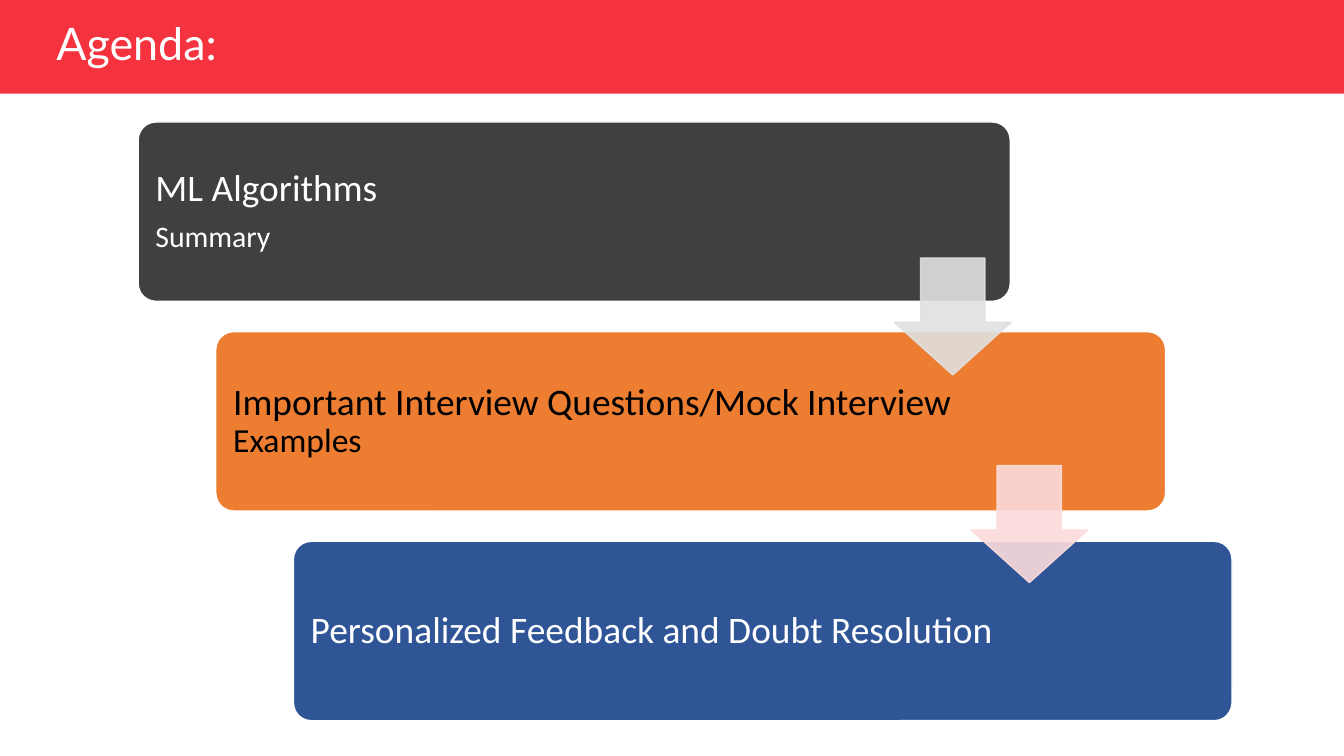
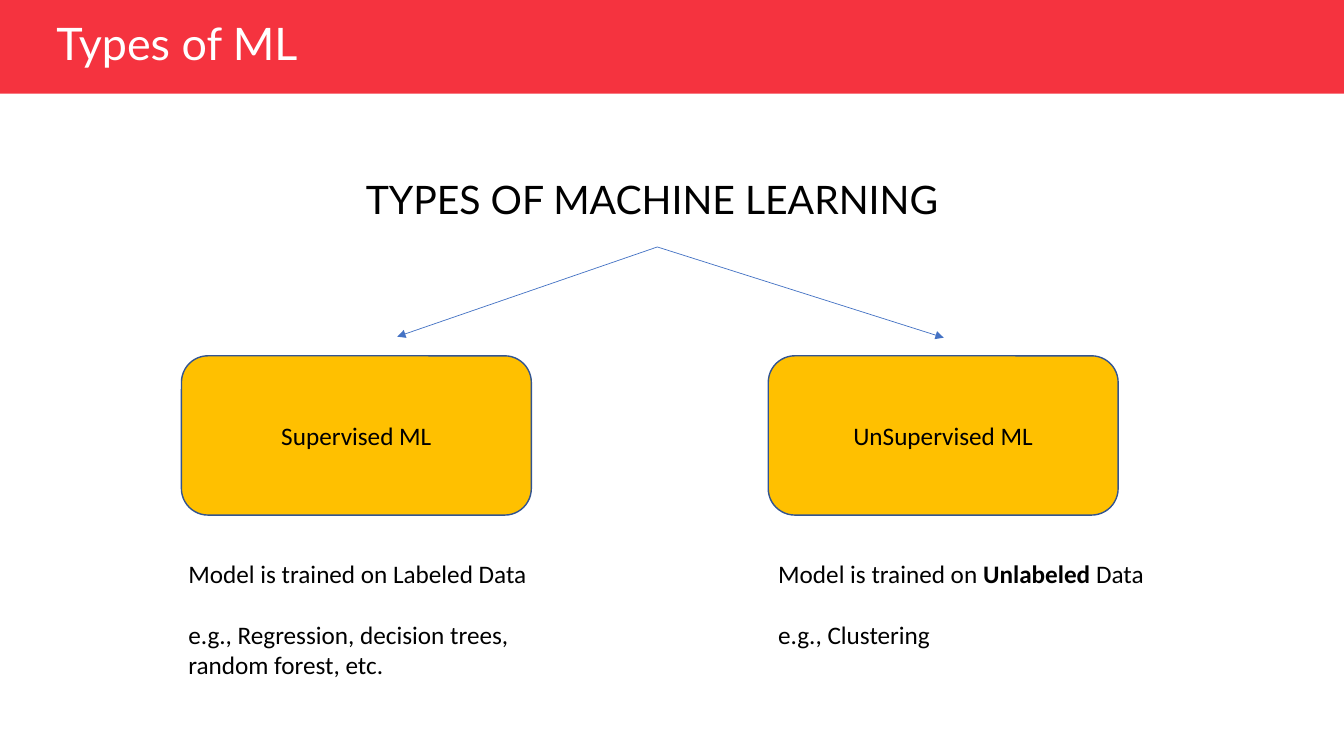
from lxml import etree
from pptx import Presentation
from pptx import util as u
from pptx.dml import color
from pptx.enum import shapes, text
from pptx.oxml import ns

BAND, WHITE, BLACK = "F5333F", "FFFFFF", "000000"
GOLD, GOLD_EDGE, ARROW_BLUE = "FFC000", "325491", "4472C4"
TITLE_FONT, BODY_FONT = "Lato", "Calibri"
SHAPE, ALIGN, ANCHOR = shapes.MSO_SHAPE, text.PP_ALIGN, text.MSO_ANCHOR


def rgb(value):
    return color.RGBColor.from_string(value)


def add_child(parent, tag, **attributes):
    return etree.SubElement(parent, ns.qn(tag), attributes)


class Deck:
    def __init__(self):
        self.deck = Presentation()
        self.deck.slide_width = u.Inches(13.33)
        self.deck.slide_height = u.Inches(7.5)
        self.page = None

    def add_page(self, title):
        self.page = self.deck.slides.add_slide(self.deck.slide_layouts[6])
        self.shape(SHAPE.RECTANGLE, (0, 0, 13.33, 0.93), BAND)
        self.heading(title, (0.46, 0.18, 5.45, 0.56), 32, WHITE)

    def shape(self, kind, place, fill, line=None, adjustments=()):
        item = self.page.shapes.add_shape(kind, *map(u.Inches, place))
        item.shadow.inherit = False
        item.fill.solid()
        item.fill.fore_color.rgb = rgb(fill)
        if line:
            item.line.color.rgb = rgb(line)
            item.line.width = u.Pt(1)
        else:
            item.line.fill.background()
        for index, value in enumerate(adjustments):
            item.adjustments[index] = value
        return item

    def set_text(self, frame, lines, ink=BLACK, font=BODY_FONT, align=ALIGN.LEFT,
                 spacing=1.0, anchor=ANCHOR.MIDDLE):
        frame.word_wrap = True
        frame.vertical_anchor = anchor
        for index, (spans, size, before) in enumerate(lines):
            para = frame.paragraphs[0] if index == 0 else frame.add_paragraph()
            para.alignment = align
            para.line_spacing = spacing
            para.space_before = u.Pt(before)
            para.font.name = font
            para.font.size = u.Pt(size)
            para.font.color.rgb = rgb(ink)
            for words, bold in spans:
                span = para.add_run()
                span.text = words
                if bold:
                    span.font.bold = True

    def text_box(self, place, lines, **style):
        box = self.page.shapes.add_textbox(*map(u.Inches, place))
        self.set_text(box.text_frame, lines, **style)

    def heading(self, words, place, size, ink=BLACK):
        self.text_box(place, [([(words, False)], size, 0)], ink=ink,
                      font=TITLE_FONT, spacing=0.9)

    def card(self, place, fill, ink, lines):
        card = self.shape(SHAPE.ROUNDED_RECTANGLE, place, fill, WHITE, [0.1])
        frame = card.text_frame
        frame.margin_left = frame.margin_top = frame.margin_bottom = u.Inches(0.12)
        frame.margin_right = u.Inches(1.95)
        self.set_text(frame, lines, ink=ink, spacing=0.9)

    def down_arrow(self, left, top, fill):
        arrow = self.shape(SHAPE.DOWN_ARROW, (left, top, 1.16, 1.16), fill, fill,
                           [0.55, 0.45])
        for tint in arrow._element.spPr.iter(ns.qn("a:srgbClr")):
            add_child(tint, "a:alpha", val="90000")

    def type_box(self, place, label):
        box = self.shape(SHAPE.ROUNDED_RECTANGLE, place, GOLD, GOLD_EDGE)
        self.set_text(box.text_frame, [([(label, False)], 18, 0)], align=ALIGN.CENTER)

    def line_arrow(self, start, end):
        arrow = self.page.shapes.add_connector(
            shapes.MSO_CONNECTOR.STRAIGHT, *map(u.Inches, (*start, *end)))
        arrow.line.color.rgb = rgb(ARROW_BLUE)
        arrow.line.width = u.Pt(0.5)
        properties = arrow._element.spPr
        add_child(properties.find(ns.qn("a:ln")), "a:tailEnd", type="triangle")
        add_child(properties, "a:effectLst")


def build_agenda(deck):
    deck.add_page("Agenda:")
    cards = [
        (8.65, "404040", WHITE, [([("ML Algorithms", False)], 26.7, 0),
                                 ([("Summary", False)], 21.3, 9.3)]),
        (9.42, "ED7D31", BLACK,
         [([("Important Interview Questions/Mock Interview", False)], 26.7, 0),
          ([("Examples", False)], 24, 0)]),
        (9.31, "2F5597", WHITE,
         [([("Personalized Feedback and Doubt Resolution", False)], 26.7, 0)]),
    ]
    for step, (width, fill, ink, lines) in enumerate(cards):
        place = (1.37 + 0.77 * step, 1.21 + 2.08 * step, width, 1.78)
        deck.card(place, fill, ink, lines)
    for step, fill in enumerate(["E0E0E0", "FCDBDB"]):
        deck.down_arrow(8.87 + 0.76 * step, 2.56 + 2.06 * step, fill)


def build_types(deck):
    deck.add_page("Types of ML")
    deck.heading("TYPES OF MACHINE LEARNING", (3.53, 1.55, 5.97, 0.9), 28)
    branches = [
        (1.8, 1.77, (3.94, 3.34), "Supervised ML",
         [("Model is trained on Labeled Data", False)],
         "e.g., Regression, decision trees, random forest, etc."),
        (7.62, 7.62, (9.36, 3.35), "UnSupervised ML",
         [("Model is trained on ", False), ("Unlabeled ", True), ("Data", False)],
         "e.g., Clustering"),
    ]
    for box_left, note_left, tip, label, training, examples in branches:
        deck.type_box((box_left, 3.53, 3.47, 1.58), label)
        deck.line_arrow((6.52, 2.45), tip)
        deck.text_box((note_left, 5.49, 4.17, 1.31),
                      [(training, 18, 0), ([(examples, False)], 18, 22)],
                      anchor=ANCHOR.TOP)


def main():
    deck = Deck()
    build_agenda(deck)
    build_types(deck)
    deck.deck.save("out.pptx")


if __name__ == "__main__":
    main()
